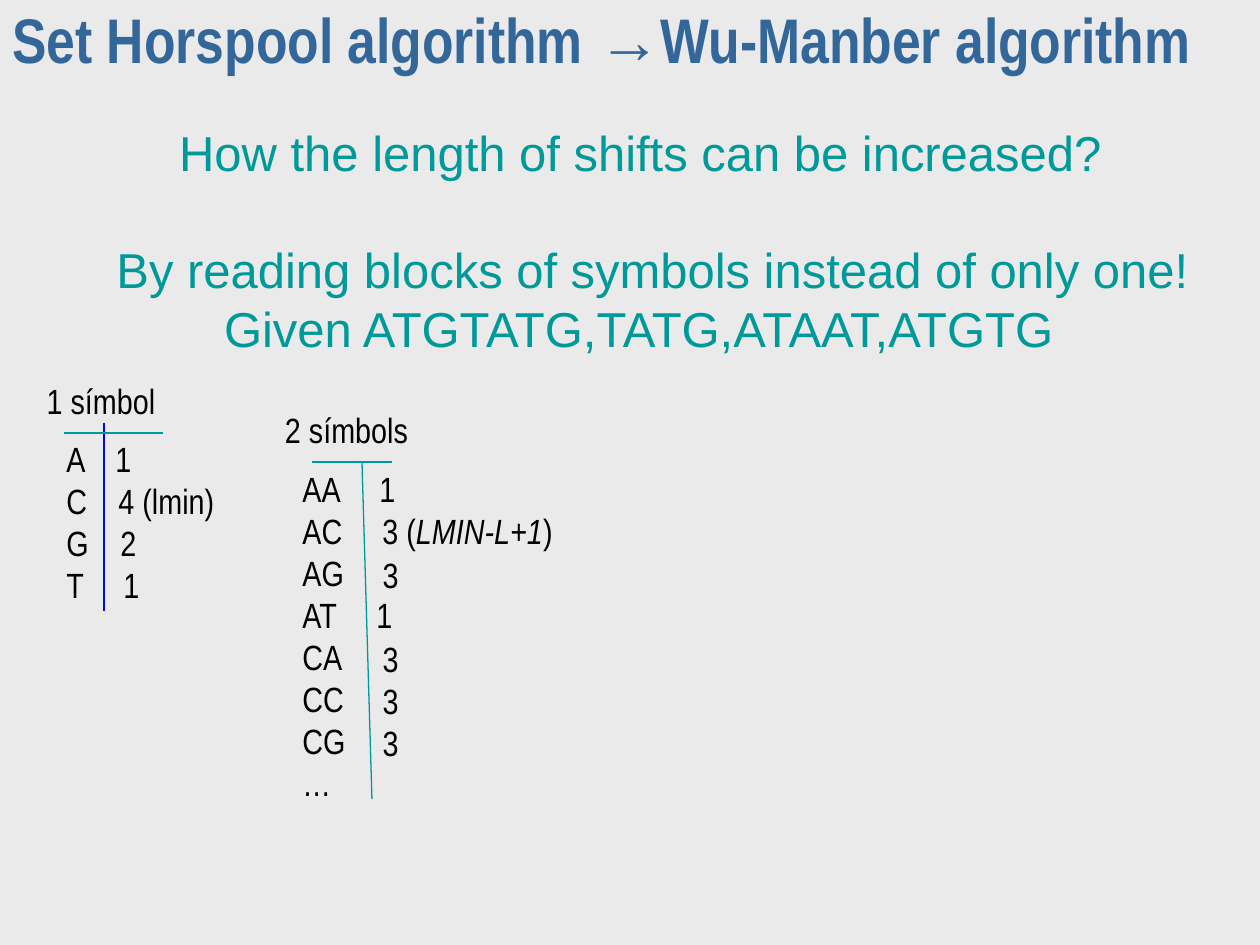
from lxml.etree import SubElement
from pptx import Presentation
from pptx.dml.color import RGBColor
from pptx.enum.shapes import MSO_CONNECTOR as Connector
from pptx.enum.text import MSO_ANCHOR as Anchor, PP_ALIGN as Align
from pptx.oxml.ns import qn
from pptx.util import Pt

PX = 914400 // 126
COLORS = {"background": "EAEAEA", "title": "336699", "teal": "009999", "blue": "0000FF", "text": "010000"}

TITLE_STYLE = {"name": "Arial Narrow", "size": Pt(36), "bold": True, "color": "title"}
QUESTION_STYLE = {"name": "Arial", "size": Pt(28), "color": "teal"}
TABLE_STYLE = {"name": "Arial Narrow", "size": Pt(20), "color": "text"}

TITLE = [
    ("Set Horspool algorithm ", {}),
    ("→", {"name": "Arial"}),
    ("Wu-Manber algorithm", {}),
]
QUESTIONS = [
    ((32, 116, 1203, 72), " How the length of shifts can be increased?"),
    ((44, 233, 1203, 131), " By reading blocks of symbols instead of only one! Given ATGTATG,TATG,ATAAT,ATGTG "),
]
HEADINGS = [
    ((30, 373, 142, 55), "1 símbol"),
    ((269, 402, 155, 55), "2 símbols"),
]
SHIFT_TABLES = [
    ((54, 431, 180, 181), [
        (49, [("A\t1", {})]),
        (52, [("C\t4 (lmin)", {})]),
        (54, [("G\t2", {})]),
        (57, [("T\t1", {})]),
    ]),
    ((290, 461, 282, 349), [
        (77, [("AA\t1", {})]),
        (80, [("AC\t3 (", {}), ("LMIN-L+1", {"italic": True}), (")", {})]),
        (None, [("AG", {})]),
        (74, [("AT\t1", {})]),
        (None, [("CA", {})]),
        (None, [("CC", {})]),
        (None, [("CG", {})]),
        (None, [("…", {})]),
    ]),
]
SHIFT_VALUES = [
    ((370, 547, 41, 55), ["3"]),
    ((370, 631, 41, 139), ["3", "3", "3"]),
]
RULES = [
    ((362, 462, 372, 799), "teal"),
    ((312, 462, 392, 462), "teal"),
    ((104, 423, 104, 611), "blue"),
    ((64, 433, 163, 433), "teal"),
]


def rgb(name):
    return RGBColor.from_string(COLORS[name])


def add_tab_stop(paragraph, position):
    tabs = SubElement(paragraph._p.get_or_add_pPr(), qn("a:tabLst"))
    SubElement(tabs, qn("a:tab"), pos=str(position * PX), algn="l")


def add_text(slide, box, rows, style, align=Align.LEFT, anchor=Anchor.TOP, spacing=None):
    frame = slide.shapes.add_textbox(*(value * PX for value in box)).text_frame
    frame.word_wrap = True
    frame.vertical_anchor = anchor
    for index, (tab, runs) in enumerate(rows):
        paragraph = frame.add_paragraph() if index else frame.paragraphs[0]
        paragraph.alignment = align
        paragraph.line_spacing = spacing
        if tab:
            add_tab_stop(paragraph, tab)
        for text, changes in runs:
            run = paragraph.add_run()
            run.text = text
            for key, value in {**style, **changes}.items():
                if key == "color":
                    run.font.color.rgb = rgb(value)
                else:
                    setattr(run.font, key, value)


def plain_rows(lines):
    return [(None, [(line, {})]) for line in lines]


def add_rule(slide, ends, color):
    connector = slide.shapes.add_connector(Connector.STRAIGHT, *(value * PX for value in ends))
    connector.line.color.rgb = rgb(color)
    connector.line.width = Pt(0.75)
    SubElement(connector._element.spPr, qn("a:effectLst"))


def main():
    presentation = Presentation()
    presentation.slide_width = 1260 * PX
    presentation.slide_height = 945 * PX
    slide = presentation.slides.add_slide(presentation.slide_layouts[6])
    slide.background.fill.solid()
    slide.background.fill.fore_color.rgb = rgb("background")

    for ends, color in RULES:
        add_rule(slide, ends, color)
    add_text(slide, (0, 0, 1260, 95), [(None, TITLE)], TITLE_STYLE, anchor=Anchor.MIDDLE, spacing=0.7)
    for box, text in QUESTIONS:
        add_text(slide, box, plain_rows([text]), QUESTION_STYLE, Align.CENTER)
    for box, text in HEADINGS:
        add_text(slide, box, plain_rows([text]), TABLE_STYLE, Align.CENTER)
    for box, rows in SHIFT_TABLES:
        add_text(slide, box, rows, TABLE_STYLE)
    for box, values in SHIFT_VALUES:
        add_text(slide, box, plain_rows(values), TABLE_STYLE, Align.RIGHT)

    presentation.save("out.pptx")


if __name__ == "__main__":
    main()
